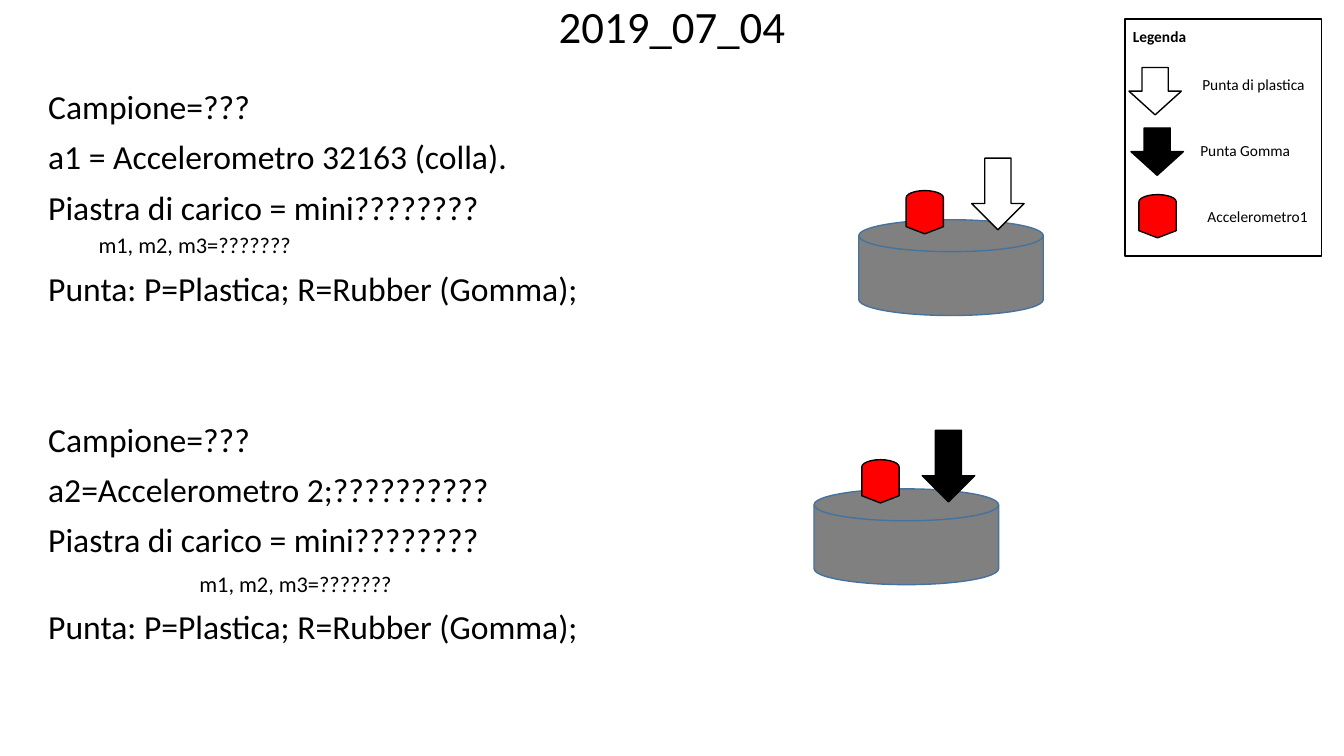
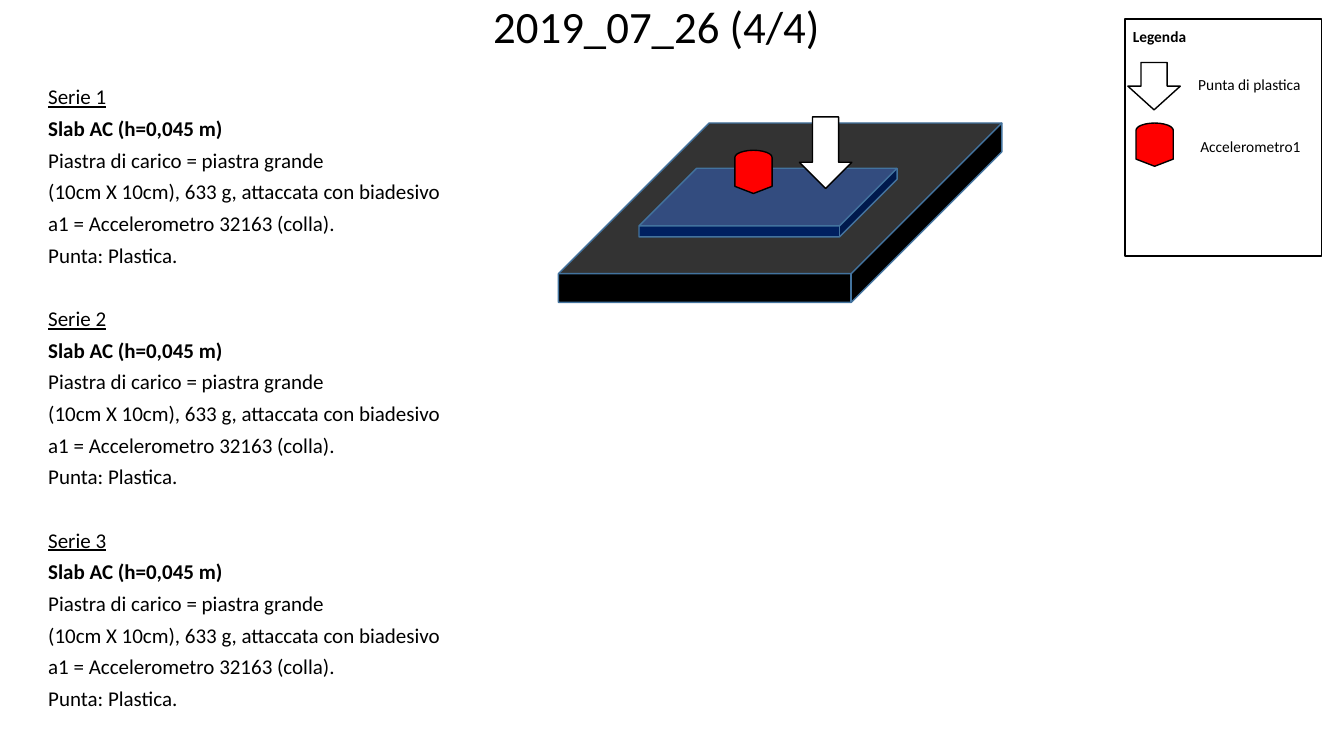
import pptx
import pptx.util
import pptx.dml.color
import pptx.enum.shapes
import pptx.enum.text

Pt = pptx.util.Pt
Kind = pptx.enum.shapes.MSO_SHAPE
BLACK, WHITE, RED = "000000", "FFFFFF", "FF0000"
GREY, NAVY, EDGE = "808080", "002060", "43739E"
FONT = "Calibri"

deck = pptx.Presentation()
deck.slide_width = pptx.util.Inches(13.333)
deck.slide_height = pptx.util.Inches(7.5)
COL, ROW = deck.slide_width / 100, deck.slide_height / 100

# Sizes in columns and rows, each a hundredth of the slide
TIP, KEY_TIP, SENSOR = (3.9, 9.47), (3.9, 6.27), (3.22, 4.93)
DISK, SLAB, PLATE = (13.73, 12.67), (33, 23.73), (19.2, 9.07)
LABEL = (9.75, 3.87)


def draw(slide, kind, spot, size, fill=None, line=BLACK):
    x, y, w, h = *spot, *size
    shape = slide.shapes.add_shape(
        kind, int(x * COL), int(y * ROW), int(w * COL), int(h * ROW))
    shape.shadow.inherit = False
    if fill:
        shape.fill.solid()
        shape.fill.fore_color.rgb = pptx.dml.color.RGBColor.from_string(fill)
    else:
        shape.fill.background()
    shape.line.color.rgb = pptx.dml.color.RGBColor.from_string(line)
    shape.line.width = Pt(1)
    if kind == Kind.FLOWCHART_DISPLAY:
        shape.rotation = 270
    if kind == Kind.CUBE:
        shape.adjustments[0] = 0.84


def write(slide, spot, size, lines, pitch=1.0):
    """Add a text box; a line is text, points, space before, indent, style."""
    x, y, w, h = *spot, *size
    box = slide.shapes.add_textbox(
        int(x * COL), int(y * ROW), int(w * COL), int(h * ROW))
    frame = box.text_frame
    frame.word_wrap = True
    for i, (text, points, before, indent, style) in enumerate(lines):
        para = frame.paragraphs[0] if i == 0 else frame.add_paragraph()
        para.text = text
        para.line_spacing = pitch
        para.space_before = Pt(before if i else 0)
        if indent:
            para._p.get_or_add_pPr().set("marL", str(pptx.util.Inches(indent)))
        para.font.name = FONT
        para.font.size = Pt(points)
        para.font.bold = style == "bold"
        para.font.underline = style == "under"


# Text blocks
tests = [
    [("Campione=???", 24, 10, 0, ""),
     (sensor, 24, 10, 0, ""),
     ("Piastra di carico = mini????????", 24, 10, 0, ""),
     ("m1, m2, m3=???????", 16, before, indent, ""),
     ("Punta: P=Plastica; R=Rubber (Gomma);", 24, 10, 0, "")]
    for sensor, before, indent in [
        ("a1 = Accelerometro 32163 (colla).", 5, 0.5),
        ("a2=Accelerometro 2;??????????", 9, 1.5)]]

series = [
    [(text, 15, 10, 0, style) for text, style in [
        (f"Serie {n}", "under"),
        ("Slab AC (h=0,045 m)", "bold"),
        ("Piastra di carico = piastra grande", ""),
        ("(10cm X 10cm), 633 g, attaccata con biadesivo", ""),
        ("a1 = Accelerometro 32163 (colla).", ""),
        ("Punta: Plastica.", "")]]
    for n in (1, 2, 3)]

# Drawings, from back to front
cells = [
    (Kind.FLOWCHART_MAGNETIC_DISK, (63.9, 29.07), DISK, GREY, EDGE),
    (Kind.DOWN_ARROW, (72.3, 20.93), TIP, WHITE),
    (Kind.FLOWCHART_DISPLAY, (67.2, 25.6), SENSOR, RED),
    (Kind.FLOWCHART_MAGNETIC_DISK, (60.57, 64.67), DISK, GREY, EDGE),
    (Kind.DOWN_ARROW, (68.62, 56.93), TIP, BLACK),
    (Kind.FLOWCHART_DISPLAY, (63.9, 61.2), SENSOR, RED)]
stack = [
    (Kind.CUBE, (41.55, 16.27), SLAB, BLACK, EDGE),
    (Kind.CUBE, (47.55, 22.27), PLATE, NAVY, EDGE),
    (Kind.DOWN_ARROW, (59.48, 15.47), TIP, WHITE),
    (Kind.FLOWCHART_DISPLAY, (54.45, 20.27), SENSOR, RED)]

# Legend entries: symbol, then label
cell_keys = [
    ((Kind.DOWN_ARROW, (84, 8.93), KEY_TIP, WHITE),
     "Punta di plastica", (88.72, 9.33)),
    ((Kind.DOWN_ARROW, (84.15, 16.93), KEY_TIP, BLACK),
     "Punta Gomma", (88.57, 18)),
    ((Kind.FLOWCHART_DISPLAY, (84.52, 26.13), SENSOR, RED),
     "Accelerometro1", (89.1, 26.8))]
stack_keys = [
    ((Kind.DOWN_ARROW, (83.92, 8.27), KEY_TIP, WHITE),
     "Punta di plastica", (88.42, 9.33)),
    ((Kind.FLOWCHART_DISPLAY, (84.3, 16.67), SENSOR, RED),
     "Accelerometro1", (88.57, 17.47))]

# Title, title width, text blocks, rows per block, line pitch, drawing, legend
pages = [
    ("2019_07_04", 100, tests, 44, 0.9, cells, cell_keys),
    ("2019_07_26 (4/4)", 97.7, series, 29.33, 0.7, stack, stack_keys)]

for name, width, blocks, step, pitch, parts, keys in pages:
    slide = deck.slides.add_slide(deck.slide_layouts[5])
    title = slide.shapes.title
    title.left, title.top = 0, 0
    title.width, title.height = int(width * COL), int(11.33 * ROW)
    title.text_frame.text = name
    title.text_frame.vertical_anchor = pptx.enum.text.MSO_ANCHOR.TOP
    head = title.text_frame.paragraphs[0]
    head.alignment = pptx.enum.text.PP_ALIGN.CENTER
    head.line_spacing = 0.9
    head.font.name = FONT
    head.font.size = Pt(32)

    for i, block in enumerate(blocks):
        write(slide, (2.85, 11.33 + i * step), (45, step - 2), block, pitch)
    for part in parts:
        draw(slide, *part)

    draw(slide, Kind.RECTANGLE, (83.7, 2.53), (14.62, 31.33))
    write(slide, (83.55, 2.93), LABEL, [("Legenda", 11, 0, 0, "bold")])
    for symbol, label, spot in keys:
        draw(slide, *symbol)
        write(slide, spot, LABEL, [(label, 11, 0, 0, "")])

deck.save("out.pptx")
